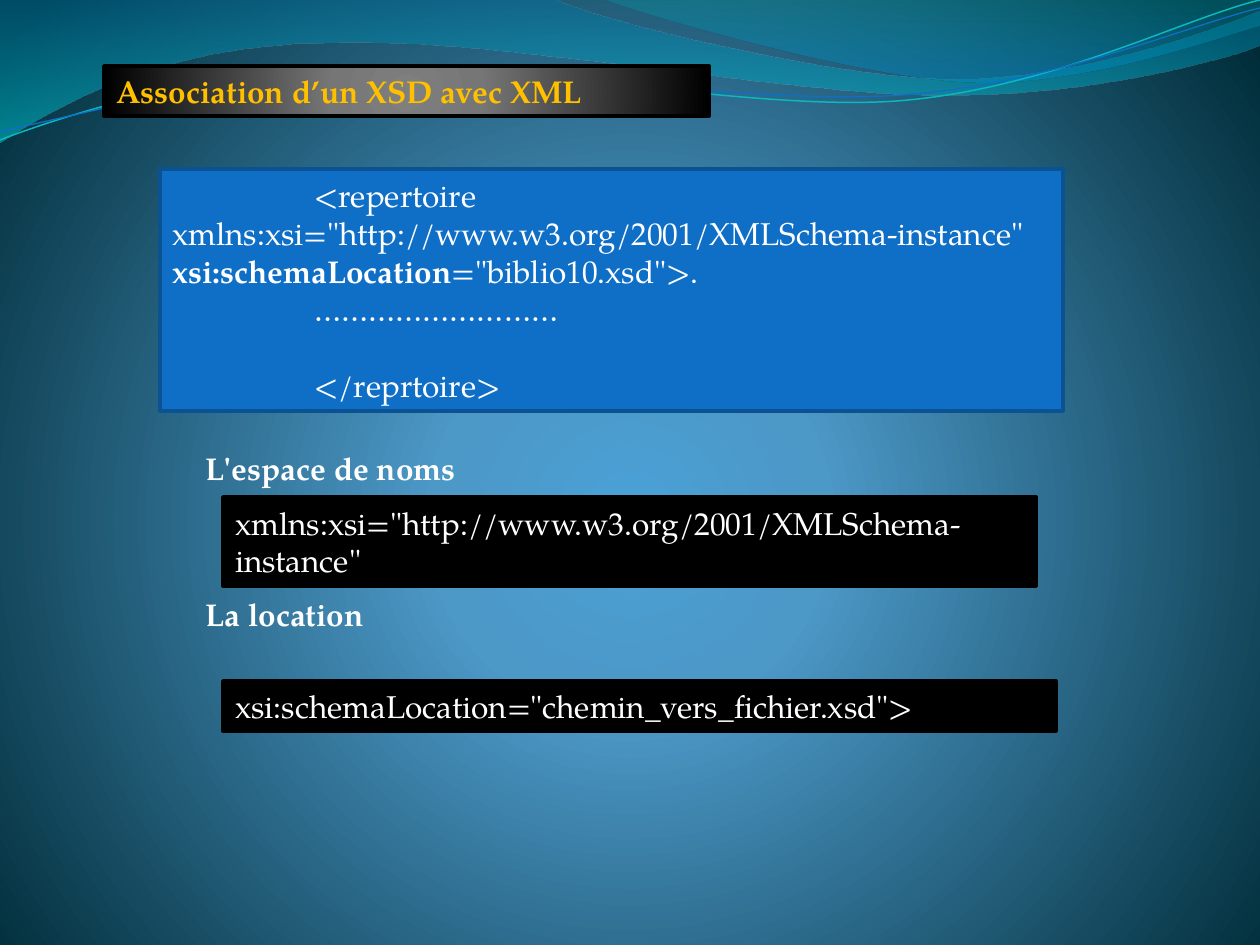
from lxml import etree
from pptx import Presentation
from pptx.dml.color import RGBColor
from pptx.enum.shapes import MSO_SHAPE
from pptx.enum.text import MSO_ANCHOR, MSO_AUTO_SIZE, PP_ALIGN
from pptx.oxml.ns import qn
from pptx.util import Pt

RECTANGLE = MSO_SHAPE.RECTANGLE
LEFT = PP_ALIGN.LEFT
MIDDLE = MSO_ANCHOR.MIDDLE
GROW = MSO_AUTO_SIZE.SHAPE_TO_FIT_TEXT

SCALE = 914400 / 126
WIDTH, HEIGHT = 1260, 945
FONT = "TeX Gyre Pagella"
TEXT_SIZE = 18
LINE_HEIGHT = 22
COLORS = {
    "white": "FFFFFF", "black": "000000", "gold": "FFC000",
    "blue": "0F6FC6", "dark_blue": "0B5292", "turquoise": "0AB8BF",
}
# Gradient stops: position, colour, opacity (percent)
BACKGROUND_STOPS = [(0, "4AA0D6", 100), (25, "4C98C7", 100), (100, "002C38", 100)]
TITLE_STOPS = [(0, "7F7F7F", 100), (25, "767676", 100), (100, "000000", 100)]
WIDE_WAVE_STOPS = [(0, "0074A1", 45), (100, "00C6CF", 55)]
SMALL_WAVE_STOPS = [(0, "00A1A9", 30), (80, "008BBF", 45)]

# Outlines: a pair is a corner, a group of six is a Bezier curve
WIDE_WAVE = [
    (0, 0), (555, 0), (600, 21, 837, 79, 955, 79), (1075, 79, 1207, 33, 1260, 11),
    (1260, 45), (1239, 55, 1096, 96, 940, 95), (784, 95, 481, 35, 324, 43),
    (163, 45, 58, 105, 0, 142),
]
SMALL_WAVE = [
    (604, 0), (641, 14, 859, 78, 969, 82), (1079, 87, 1211, 40, 1260, 26), (1260, 0),
]
TURQUOISE_CURVE = [
    (0, 140), (60, 117, 199, 72, 349, 66), (498, 59, 747, 112, 898, 101),
    (1050, 89, 1182, 19, 1260, 0),
]
BLUE_CURVE = [
    (0, 131), (59, 121, 207, 77, 357, 71), (508, 64, 752, 106, 903, 95),
    (1053, 84, 1186, 26, 1260, 8),
]


def px(value):
    return round(value * SCALE)


def rgb(name):
    return RGBColor.from_string(COLORS[name])


def set_gradient(fill, parent, stops, radial):
    """Put a gradient in place of the solid fill of the parent element."""
    fill.solid()
    gradient = etree.Element(qn("a:gradFill"), rotWithShape="1")
    stop_list = etree.SubElement(gradient, qn("a:gsLst"))
    for position, color, opacity in stops:
        stop = etree.SubElement(stop_list, qn("a:gs"), pos=str(position * 1000))
        value = etree.SubElement(stop, qn("a:srgbClr"), val=color)
        if opacity < 100:
            etree.SubElement(value, qn("a:alpha"), val=str(opacity * 1000))
    if radial:
        path = etree.SubElement(gradient, qn("a:path"))
        path.set("path", "circle")
        etree.SubElement(path, qn("a:fillToRect"),
                         l="10000", t="110000", r="10000", b="100000")
    else:
        etree.SubElement(gradient, qn("a:lin"), ang="5400000", scaled="0")
    solid = parent.find(qn("a:solidFill"))
    parent.replace(solid, gradient)


def add_outline(slide, outline, closed):
    corners = [(px(part[-2]), px(part[-1])) for part in outline]
    builder = slide.shapes.build_freeform(*corners[0], scale=1.0)
    builder.add_line_segments(corners[1:], close=closed)
    shape = builder.convert_to_shape()
    shape.shadow.inherit = False
    # Bend the segments that have control points
    segments = shape._element.findall(".//" + qn("a:lnTo"))
    for segment, part in zip(segments, outline[1:]):
        if len(part) == 6:
            curve = etree.Element(qn("a:cubicBezTo"))
            for x, y in zip(part[::2], part[1::2]):
                etree.SubElement(curve, qn("a:pt"), x=str(px(x) - shape.left),
                                 y=str(px(y) - shape.top))
            segment.getparent().replace(segment, curve)
    return shape


def add_wave(slide, outline, stops):
    shape = add_outline(slide, outline, True)
    set_gradient(shape.fill, shape._element.spPr, stops, False)
    shape.line.fill.background()


def add_curve(slide, outline, color, width):
    shape = add_outline(slide, outline, False)
    shape.fill.background()
    shape.line.color.rgb = rgb(color)
    shape.line.width = Pt(width)


def add_run(paragraph, text, color="white", bold=False):
    run = paragraph.add_run()
    run.text = text
    run.font.name = FONT
    run.font.size = Pt(TEXT_SIZE)
    run.font.bold = bold
    run.font.color.rgb = rgb(color)


def add_box(slide, box, fill, line):
    shape = slide.shapes.add_shape(RECTANGLE, *map(px, box))
    shape.shadow.inherit = False
    shape.fill.solid()
    shape.fill.fore_color.rgb = rgb(fill)
    shape.line.color.rgb = rgb(line)
    shape.line.width = Pt(2)
    frame = shape.text_frame
    frame.word_wrap = True
    frame.auto_size = GROW
    frame.vertical_anchor = MIDDLE
    frame.paragraphs[0].alignment = LEFT
    return shape


def add_label(slide, box, text):
    frame = slide.shapes.add_textbox(*map(px, box)).text_frame
    frame.word_wrap = False
    frame.auto_size = GROW
    add_run(frame.paragraphs[0], text, bold=True)


def add_code_line(slide, box, text):
    shape = add_box(slide, box, "black", "black")
    add_run(shape.text_frame.paragraphs[0], text)


def add_title(slide):
    shape = add_box(slide, (104, 66, 605, 50), "black", "black")
    set_gradient(shape.fill, shape._element.spPr, TITLE_STOPS, True)
    add_run(shape.text_frame.paragraphs[0], "Association d’un XSD avec XML", "gold", True)


def add_code_block(slide):
    frame = add_box(slide, (160, 169, 903, 242), "blue", "dark_blue").text_frame
    lines = [
        [('<repertoire xmlns:xsi="http://www.w3.org/2001/XMLSchema-instance" ', False),
         ("xsi:schemaLocation", True), ('="biblio10.xsd">. ', False)],
        [("…" * 9, False)],
        [("</reprtoire>", False)],
    ]
    for index, runs in enumerate(lines):
        paragraph = frame.add_paragraph() if index else frame.paragraphs[0]
        paragraph.alignment = LEFT
        properties = paragraph._p.get_or_add_pPr()
        properties.set("marL", "0")
        properties.set("indent", str(px(142)))
        for text, bold in runs:
            add_run(paragraph, text, bold=bold)
    # One line of space above the closing tag
    frame.paragraphs[-1].space_before = Pt(LINE_HEIGHT)


def main():
    presentation = Presentation()
    presentation.slide_width, presentation.slide_height = px(WIDTH), px(HEIGHT)
    slide = presentation.slides.add_slide(presentation.slide_layouts[6])

    # Background and waves
    fill = slide.background.fill
    fill.solid()
    set_gradient(fill, slide._element.find(".//" + qn("p:bgPr")), BACKGROUND_STOPS, True)
    add_wave(slide, WIDE_WAVE, WIDE_WAVE_STOPS)
    add_wave(slide, SMALL_WAVE, SMALL_WAVE_STOPS)
    add_curve(slide, TURQUOISE_CURVE, "turquoise", 0.85)
    add_curve(slide, BLUE_CURVE, "blue", 0.75)

    # Title and example
    add_title(slide)
    add_code_block(slide)

    # Explained attributes
    add_label(slide, (193, 443, 284, 50), "L'espace de noms")
    add_code_line(slide, (223, 497, 813, 89),
                  'xmlns:xsi="http://www.w3.org/2001/XMLSchema-instance"')
    add_label(slide, (193, 589, 193, 50), "La location")
    add_code_line(slide, (223, 681, 833, 50),
                  'xsi:schemaLocation="chemin_vers_fichier.xsd">')

    presentation.save("out.pptx")


main()
